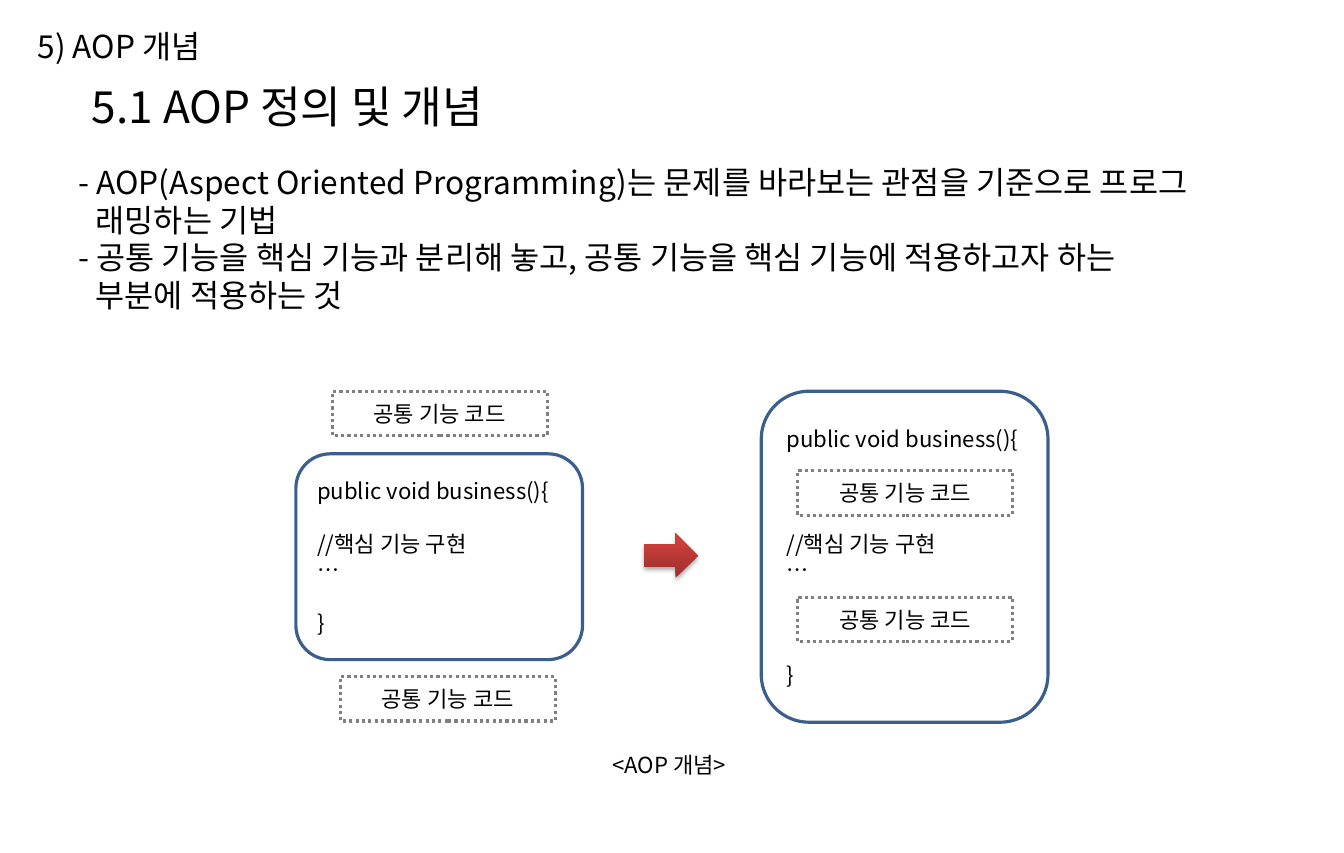
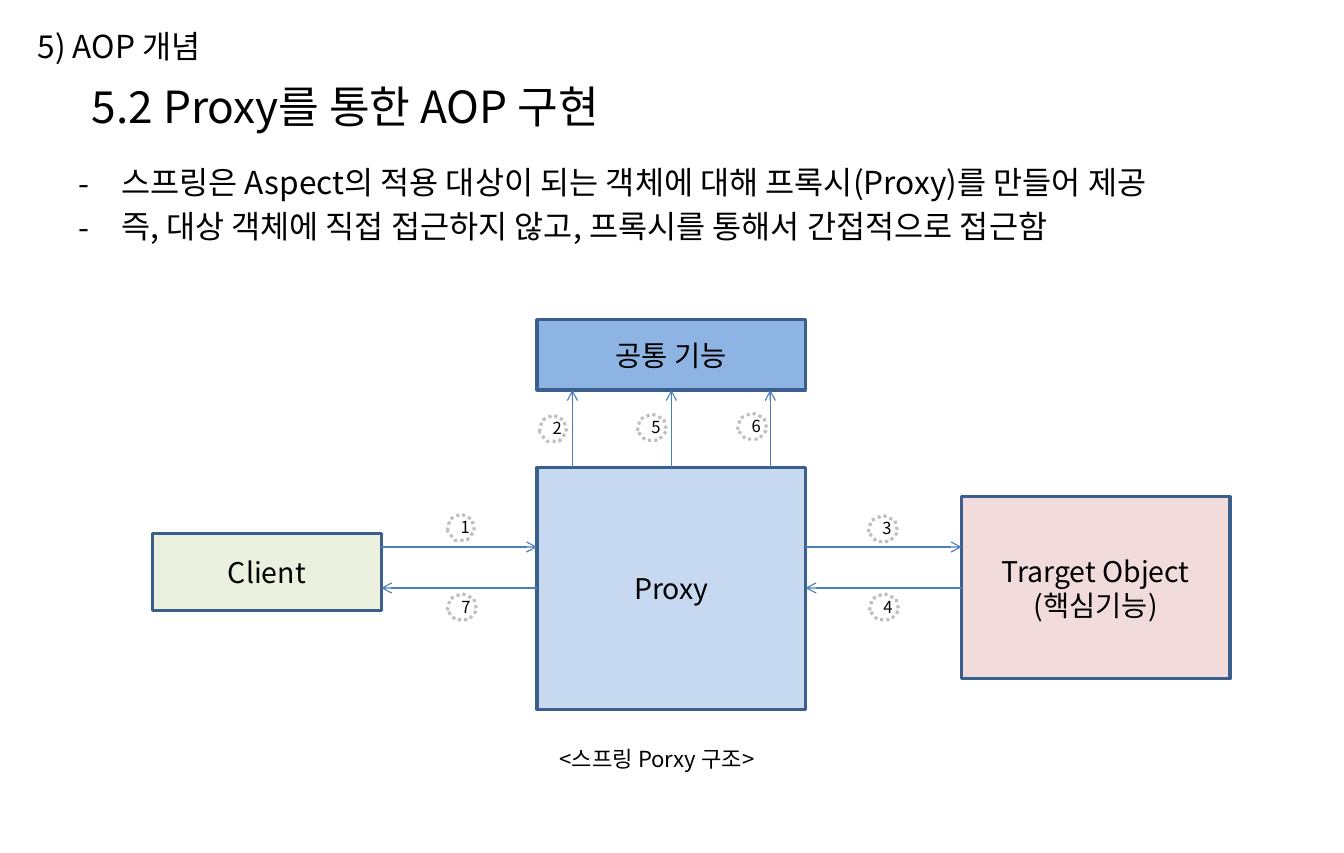
from dataclasses import dataclass
from typing import Optional

from lxml.etree import SubElement
from pptx import Presentation
from pptx.dml.color import RGBColor
from pptx.enum.dml import MSO_LINE_DASH_STYLE as Dash
from pptx.enum.shapes import MSO_CONNECTOR as Connector, MSO_SHAPE as Preset
from pptx.enum.text import MSO_ANCHOR as Anchor, PP_ALIGN as Align
from pptx.oxml.ns import qn
from pptx.util import Pt

# Shared style
FONT = "Noto Sans CJK KR"
LINE_PITCH = 1.19
BLACK = RGBColor(0x00, 0x00, 0x00)
NAVY = RGBColor(0x3A, 0x5F, 0x8C)
ARROW_BLUE = RGBColor(0x4B, 0x7E, 0xBC)
GRAY = RGBColor(0x80, 0x80, 0x80)
LIGHT_GRAY = RGBColor(0xBF, 0xBF, 0xBF)
PALE_BLUE = RGBColor(0xC6, 0xD9, 0xF1)
MID_BLUE = RGBColor(0x8E, 0xB4, 0xE3)
PALE_RED = RGBColor(0xF2, 0xDC, 0xDB)
PALE_GREEN = RGBColor(0xEB, 0xF1, 0xDE)
DARK_RED = RGBColor(0x9C, 0x2F, 0x2D)
RED = RGBColor(0xCB, 0x3E, 0x3A)


@dataclass(frozen=True)
class Area:
    left: float
    top: float
    width: float
    height: float

    def lengths(self) -> list:
        return [Pt(n) for n in (self.left, self.top, self.width, self.height)]


@dataclass(frozen=True)
class Box:
    area: Area
    text: str
    size: float = 18
    fill: Optional[RGBColor] = None
    line: RGBColor = NAVY
    preset: Preset = Preset.RECTANGLE
    dotted: bool = False
    align: Align = Align.CENTER


@dataclass(frozen=True)
class Arrow:
    x1: float
    y1: float
    x2: float
    y2: float


def write(frame, text: str, size: float, align: Align = Align.LEFT,
          anchor: Anchor = Anchor.TOP) -> None:
    frame.text = text
    frame.word_wrap = True
    frame.vertical_anchor = anchor
    for paragraph in frame.paragraphs:
        paragraph.alignment = align
        paragraph.line_spacing = Pt(size * LINE_PITCH)
        for run in paragraph.runs:
            run.font.size = Pt(size)
            run.font.name = FONT
            run.font.color.rgb = BLACK
            SubElement(run.font._element, qn("a:ea"), typeface=FONT)


def add_text(slide, area: Area, text: str, size: float,
             anchor: Anchor = Anchor.TOP):
    frame = slide.shapes.add_textbox(*area.lengths()).text_frame
    write(frame, text, size, anchor=anchor)
    return frame


def add_box(slide, box: Box):
    shape = slide.shapes.add_shape(box.preset, *box.area.lengths())
    shape.shadow.inherit = False
    if box.fill is None:
        shape.fill.background()
    else:
        shape.fill.solid()
        shape.fill.fore_color.rgb = box.fill
    shape.line.color.rgb = box.line
    shape.line.width = Pt(2)
    if box.dotted:
        shape.line.dash_style = Dash.ROUND_DOT
    write(shape.text_frame, box.text, box.size, box.align, Anchor.MIDDLE)
    return shape.text_frame


def add_arrow(slide, arrow: Arrow) -> None:
    connector = slide.shapes.add_connector(
        Connector.STRAIGHT, Pt(arrow.x1), Pt(arrow.y1), Pt(arrow.x2), Pt(arrow.y2))
    connector.line.color.rgb = ARROW_BLUE
    connector.line.width = Pt(0.75)
    SubElement(connector.line._get_or_add_ln(), qn("a:tailEnd"), type="arrow")
    SubElement(connector._element.spPr, qn("a:effectLst"))


def set_indent(paragraph, indent: float, bullet: str = "") -> None:
    properties = paragraph._p.get_or_add_pPr()
    properties.set("marL", str(Pt(indent)))
    properties.set("indent", str(-Pt(indent)))
    if bullet:
        SubElement(properties, qn("a:buFont"), typeface=FONT)
        SubElement(properties, qn("a:buChar"), char=bullet)


def add_topic(deck, title: str, body: str, indent: float, gap: float,
              bullet: str = ""):
    """Start a slide with the chapter name, its title and the body points."""
    slide = deck.slides.add_slide(deck.slide_layouts[6])
    points = add_text(slide, Area(42.5, 100, 765.4, 382.3), body, 20)
    for order, point in enumerate(points.paragraphs):
        point.space_before = Pt(gap if order else 4)
        set_indent(point, indent, bullet)
    add_text(slide, Area(51, 46.8, 799, 41), title, 28)
    add_text(slide, Area(16.6, 9.4, 159, 38.9), "5) AOP 개념", 20, Anchor.MIDDLE)
    return slide


def add_code(slide, area: Area, skipped: dict[int, int]) -> None:
    """Draw the method; skipped maps a line number to the empty lines above it."""
    code = add_box(slide, Box(
        area, "public void business(){\n//핵심 기능 구현\n…\n}", 14,
        preset=Preset.ROUNDED_RECTANGLE, align=Align.JUSTIFY))
    for number, lines in skipped.items():
        code.paragraphs[number].space_before = Pt(14 * LINE_PITCH * lines)


def add_change_arrow(slide, area: Area) -> None:
    arrow = slide.shapes.add_shape(Preset.RIGHT_ARROW, *area.lengths())
    arrow.line.fill.background()
    arrow.fill.gradient()
    arrow.fill.gradient_angle = 90
    for stop, position, color in zip(arrow.fill.gradient_stops, (0, 0.8), (DARK_RED, RED)):
        stop.position = position
        stop.color.rgb = color
    effects = SubElement(arrow._element.spPr, qn("a:effectLst"))
    shadow = SubElement(effects, qn("a:outerShdw"), blurRad=str(Pt(3.1)),
                        dist=str(Pt(1.8)), dir="5400000", rotWithShape="0")
    black = SubElement(shadow, qn("a:srgbClr"), val=str(BLACK))
    SubElement(black, qn("a:alpha"), val="35000")


deck = Presentation()
deck.slide_width, deck.slide_height = Pt(850.4), Pt(540)

# 5.1 Definition: shared code moves into the method
definition = add_topic(
    deck, "5.1 AOP 정의 및 개념",
    "- AOP(Aspect Oriented Programming)는 문제를 바라보는 관점을 기준으로 프로그\v"
    "래밍하는 기법\n"
    "- 공통 기능을 핵심 기능과 분리해 놓고, 공통 기능을 핵심 기능에 적용하고자 하는\v"
    "부분에 적용하는 것", indent=11, gap=0)
add_code(definition, Area(187.2, 287.3, 181.4, 130.3), {1: 1, 3: 1})
add_code(definition, Area(481.7, 247.7, 181.4, 209.5), {1: 3, 3: 3})
add_change_arrow(definition, Area(407.5, 337.7, 34, 28.1))
for left, top in ((210.2, 247.7), (215.3, 428.4), (504.7, 298.1), (504.7, 378)):
    add_box(definition, Box(Area(left, top, 136.1, 28.1), "공통 기능 코드", 14,
                            line=GRAY, dotted=True))
add_text(definition, Area(380.2, 472.3, 102.2, 24.5), "<AOP 개념>", 14)

# 5.2 Proxy structure
structure = add_topic(
    deck, "5.2 Proxy를 통한 AOP 구현",
    "스프링은 Aspect의 적용 대상이 되는 객체에 대해 프록시(Proxy)를 만들어 제공\n"
    "즉, 대상 객체에 직접 접근하지 않고, 프록시를 통해서 간접적으로 접근함",
    indent=27, gap=4, bullet="-")
proxy = Area(339.8, 295.9, 169.9, 153.4)
common = Area(339.8, 202.3, 169.9, 44.6)
target = Area(608.4, 314.6, 169.9, 115.2)
client = Area(96.5, 337.7, 144.7, 49)
for part in (Box(proxy, "Proxy", fill=PALE_BLUE),
             Box(common, "공통 기능", fill=MID_BLUE),
             Box(target, "Trarget Object\v(핵심기능)", fill=PALE_RED),
             Box(client, "Client", fill=PALE_GREEN)):
    add_box(structure, part)

# Calls go right, answers go left, shared functions are called upwards
CALL_Y, ANSWER_Y = 346.3, 372.2
for caller, callee in ((client, proxy), (proxy, target)):
    start, end = caller.left + caller.width, callee.left
    add_arrow(structure, Arrow(start, CALL_Y, end, CALL_Y))
    add_arrow(structure, Arrow(end, ANSWER_Y, start, ANSWER_Y))
for step in range(3):
    x = 362.2 + 62.6 * step
    add_arrow(structure, Arrow(x, proxy.top, x, common.top + common.height))

# Order of the steps
STEPS = ((283, 325.4), (341.3, 262.8), (549.4, 326.2), (550.1, 375.8),
         (403.2, 262.1), (466.6, 261.4), (283, 375.8))
for number, (left, top) in enumerate(STEPS, start=1):
    width = 17.3 if number <= 2 else 18.7
    add_box(structure, Box(Area(left, top, width, 16.6), str(number), 10.5,
                           line=LIGHT_GRAY, preset=Preset.HEPTAGON, dotted=True))
add_text(structure, Area(347, 468.7, 154.8, 24.5), "<스프링 Porxy 구조>", 14)

deck.save("out.pptx")
